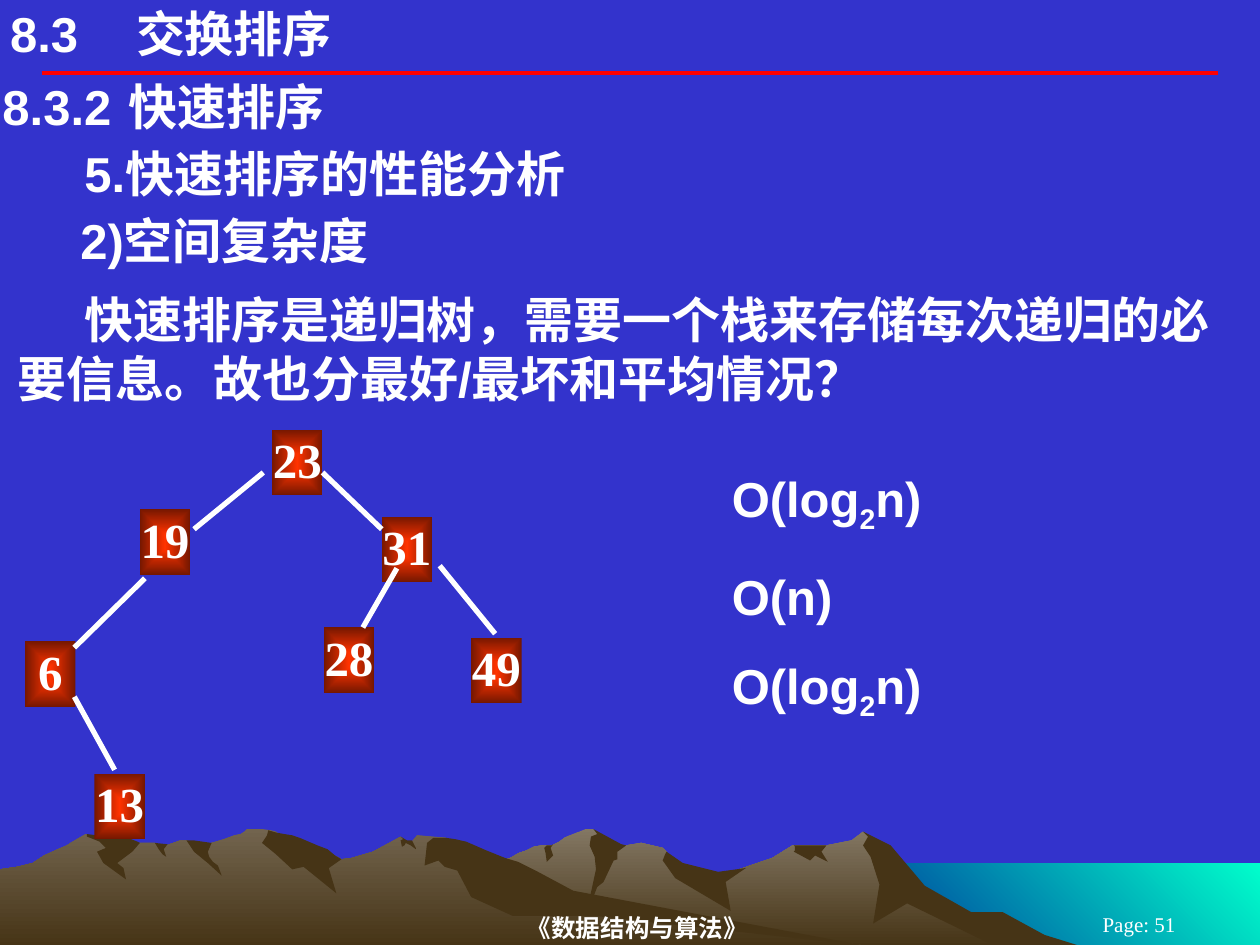
from lxml import etree
from pptx import Presentation
from pptx.dml.color import RGBColor
from pptx.enum.shapes import MSO_CONNECTOR, MSO_SHAPE
from pptx.enum.text import MSO_ANCHOR, MSO_AUTO_SIZE, PP_ALIGN
from pptx.oxml.ns import qn
from pptx.util import Inches, Pt

LEFT, CENTER = PP_ALIGN.LEFT, PP_ALIGN.CENTER
TOP, MIDDLE = MSO_ANCHOR.TOP, MSO_ANCHOR.MIDDLE
NO_AUTOSIZE = MSO_AUTO_SIZE.NONE
RECTANGLE, STRAIGHT = MSO_SHAPE.RECTANGLE, MSO_CONNECTOR.STRAIGHT

COLORS = {
    "background": "3333CC", "text": "FFFFFF", "rule": "FF0000",
    "node_center": "FF3300", "node_edge": "751700",
    "sea_light": "00FFCC", "sea_dark": "003399",
    "right_peak": "837763", "left_peak": "72644E", "rock": "463416",
}
SANS, SERIF = "Arial", "Times New Roman"
WIDE, THIN = (0.1, 0.05, 0.1, 0.05), (0.02, 0.01, 0.02, 0.01)

# Landscape outlines, in hundredths of an inch
SEA = [(1000, 752), (683, 752), (683, 685), (1000, 685)]
RIGHT_RANGE = [
    (802, 740), (778, 727), (764, 723), (723, 698), (702, 671), (685, 660), (676, 667),
    (656, 671), (629, 671), (613, 681), (566, 697), (536, 690), (529, 676), (526, 673),
    (509, 669), (497, 671), (486, 673), (474, 661), (471, 658), (465, 658), (450, 664),
    (448, 665), (444, 668), (438, 671), (430, 671), (424, 672), (418, 675), (412, 677),
    (405, 681), (399, 683), (394, 685), (355, 698), (327, 709), (277, 739), (258, 751),
    (821, 751)]
LEFT_RANGE = [
    (690, 751), (667, 748), (432, 712), (354, 665), (331, 663), (327, 668), (323, 668),
    (318, 664), (296, 676), (279, 681), (271, 682), (260, 676), (236, 681), (223, 663),
    (219, 660), (215, 659), (208, 658), (196, 658), (194, 660), (191, 662), (186, 663),
    (178, 666), (168, 669), (160, 671), (148, 667), (143, 667), (132, 671), (128, 671),
    (123, 669), (111, 669), (94, 671), (68, 662), (56, 669), (53, 671), (46, 674),
    (35, 679), (26, 685), (14, 688), (0, 690), (0, 751)]
RIGHT_SHADOWS = [
    [(796, 724), (771, 724), (734, 703), (707, 671), (685, 660), (689, 664), (685, 671),
     (691, 680), (698, 702), (693, 733), (720, 717), (792, 752), (858, 751), (829, 742)],
    [(471, 658), (474, 662), (469, 664), (468, 671), (472, 680), (473, 690), (465, 727),
     (474, 704), (479, 700), (487, 683), (490, 682), (490, 676), (497, 671), (493, 670)],
    [(529, 676), (528, 678), (526, 683), (536, 697), (580, 723), (576, 700), (592, 689),
     (570, 692), (542, 685)],
    [(650, 671), (630, 671), (631, 672), (631, 675), (630, 676), (643, 683), (647, 679),
     (657, 684), (652, 676), (656, 671)],
    [(433, 677), (432, 673), (434, 671), (438, 671), (439, 670), (437, 673), (439, 679),
     (434, 684)],
]
LEFT_SHADOWS = [
    [(212, 663), (208, 669), (219, 678), (232, 690), (241, 688), (267, 709), (261, 689),
     (271, 682), (266, 679), (260, 674), (252, 671), (245, 668), (238, 665), (232, 663),
     (226, 662), (220, 661), (213, 659)],
    [(370, 668), (361, 666), (354, 665), (344, 665), (339, 669), (337, 687), (348, 683),
     (353, 688), (363, 691), (374, 712), (407, 727), (472, 727), (690, 751), (683, 750),
     (455, 707), (427, 692), (411, 684), (401, 681), (386, 675)],
    [(318, 667), (320, 666), (318, 664), (323, 667), (327, 667), (330, 673), (330, 674),
     (326, 671), (322, 669), (321, 671), (319, 672)],
    [(154, 667), (161, 668), (168, 669), (165, 676), (166, 680), (169, 684), (173, 687),
     (176, 695), (165, 685), (154, 676), (148, 667)],
    [(133, 670), (130, 674), (132, 680), (129, 678), (126, 674), (123, 669)],
    [(109, 668), (111, 669), (105, 676), (93, 685), (98, 689), (100, 698), (82, 685),
     (77, 676), (84, 673), (79, 668), (69, 664), (69, 662), (77, 663), (84, 663),
     (94, 665), (104, 666)],
]

# Recursion tree: key, left, top; branch start and end
NODES = [("23", 2.16, 3.41), ("19", 1.11, 4.04), ("31", 3.03, 4.1), ("49", 3.74, 5.06),
         ("28", 2.57, 4.98), ("13", 0.75, 6.14), ("6", 0.2, 5.09)]
BRANCHES = [(2.09, 3.75, 1.54, 4.2), (2.56, 3.75, 3.03, 4.2), (1.15, 4.59, 0.59, 5.14),
            (3.49, 4.49, 3.93, 5.03), (3.15, 4.51, 2.88, 4.98), (0.59, 5.53, 0.91, 6.11)]


def rgb(name):
    return RGBColor.from_string(COLORS[name])


class SlideBuilder:
    def __init__(self, slide):
        self.slide = slide
        self.shapes = slide.shapes

    def set_text(self, shape, text, font=SANS, size=28, bold=True, align=LEFT, anchor=TOP,
                 insets=WIDE, before=0, indent=0, tab=None):
        frame = shape.text_frame
        frame.text = text
        frame.word_wrap = True
        frame.auto_size = NO_AUTOSIZE
        frame.vertical_anchor = anchor
        frame.margin_left, frame.margin_top, frame.margin_right, frame.margin_bottom = (
            Inches(inset) for inset in insets)
        for para in frame.paragraphs:
            para.alignment = align
            para.space_before = Pt(before)
            properties = para._p.get_or_add_pPr()
            properties.set("marL", "0")
            properties.set("indent", str(Inches(indent)))
            etree.SubElement(properties, qn("a:buNone"))
            if tab:
                stops = etree.SubElement(properties, qn("a:tabLst"))
                etree.SubElement(stops, qn("a:tab"), pos=str(Inches(tab)), algn="l")
            for span in para.runs:
                self.style_span(span, font, size, bold)

    def style_span(self, span, font=SANS, size=28, bold=True):
        span.font.name, span.font.size, span.font.bold = font, Pt(size), bold
        span.font.color.rgb = rgb("text")

    def placeholder(self, index, box, text, **style):
        shape = self.slide.placeholders[index]
        shape.left, shape.top, shape.width, shape.height = map(Inches, box)
        self.set_text(shape, text, **style)

    def text(self, box, text, **style):
        shape = self.shapes.add_textbox(*map(Inches, box))
        self.set_text(shape, text, **style)
        return shape

    def add_subscript(self, para, subscript, rest):
        for text, baseline in ((subscript, "-25000"), (rest, "0")):
            span = para.add_run()
            span.text = text
            self.style_span(span)
            span._r.get_or_add_rPr().set("baseline", baseline)

    def gradient(self, shape, start, end, angle=None):
        fill = shape.fill
        fill.gradient()
        for stop, color, position in zip(fill.gradient_stops, (start, end), (0, 1)):
            stop.color.rgb = rgb(color)
            stop.position = position
        if angle is not None:
            fill.gradient_angle = 360 - angle
            return
        element = shape._element.spPr.find(qn("a:gradFill"))
        element.remove(element.find(qn("a:lin")))
        center = etree.SubElement(element, qn("a:path"))
        center.set("path", "rect")
        etree.SubElement(center, qn("a:fillToRect"), l="50000", t="50000", r="50000", b="50000")

    def outline(self, points, color, end=None, angle=90):
        builder = self.shapes.build_freeform(*points[0], scale=Inches(0.01))
        builder.add_line_segments(points[1:], close=True)
        shape = builder.convert_to_shape()
        shape.shadow.inherit = False
        shape.line.fill.background()
        if end:
            self.gradient(shape, color, end, angle)
        else:
            shape.fill.solid()
            shape.fill.fore_color.rgb = rgb(color)

    def line(self, ends, color, width):
        line = self.shapes.add_connector(STRAIGHT, *map(Inches, ends))
        line.line.color.rgb = rgb(color)
        line.line.width = Pt(width)
        etree.SubElement(line._element.spPr, qn("a:effectLst"))

    def node(self, key, left, top):
        shape = self.shapes.add_shape(RECTANGLE, *map(Inches, (left, top, 0.4, 0.52)))
        shape.shadow.inherit = False
        shape.line.fill.background()
        self.gradient(shape, "node_center", "node_edge")
        self.set_text(shape, key, font=SERIF, align=CENTER, insets=(0, 0, 0, 0.04))


def main():
    deck = Presentation()
    deck.slide_width, deck.slide_height = Inches(10), Inches(7.5)
    page = deck.slides.add_slide(deck.slide_layouts[1])
    page.background.fill.solid()
    page.background.fill.fore_color.rgb = rgb("background")
    builder = SlideBuilder(page)

    # Landscape, rule and footer
    builder.outline(SEA, "sea_light", "sea_dark", 135)
    for mountain, peak, shadows in ((RIGHT_RANGE, "right_peak", RIGHT_SHADOWS),
                                    (LEFT_RANGE, "left_peak", LEFT_SHADOWS)):
        builder.outline(mountain, peak, "rock")
        for shadow in shadows:
            builder.outline(shadow, "rock")
    builder.line((0.33, 0.58, 9.67, 0.58), "rule", 2.25)
    builder.text((2.03, 7.22, 6.06, 0.28), "《数据结构与算法》", font=SERIF, size=14,
                 align=CENTER, anchor=MIDDLE, insets=(0, 0.01, 0, 0.01))
    builder.text((8.25, 7.25, 1.58, 0.17), "Page: 51", font=SERIF, size=12, bold=False,
                 align=CENTER, anchor=MIDDLE)

    # Headings and explanation
    builder.placeholder(0, (0.08, 0.03, 6.5, 0.47), "8.3\t交换排序",
                        insets=(0, 0, 0, 0), tab=0.86)
    builder.text((0, 0.6, 10, 0.49), "8.3.2\t快速排序", insets=THIN, tab=1.28)
    builder.text((0, 1.13, 10, 0.49), "5.快速排序的性能分析", insets=THIN, indent=0.65)
    builder.text((0, 1.62, 9.96, 0.57), "2)空间复杂度", indent=0.54)
    builder.placeholder(1, (0.04, 2.25, 9.96, 1.04),
                        "快速排序是递归树，需要一个栈来存储每次递归的必要信息。"
                        "故也分最好/最坏和平均情况？", indent=0.53)

    # Recursion tree
    for node in NODES:
        builder.node(*node)
    for branch in BRANCHES:
        builder.line(branch, "text", 3)

    # Best, worst and average space complexity
    costs = builder.text((5.71, 3.67, 2.28, 2.12), "O(log\nO(n)\nO(log", before=17.5)
    for para in costs.text_frame.paragraphs[::2]:
        builder.add_subscript(para, "2", "n)")

    deck.save("out.pptx")


if __name__ == "__main__":
    main()
